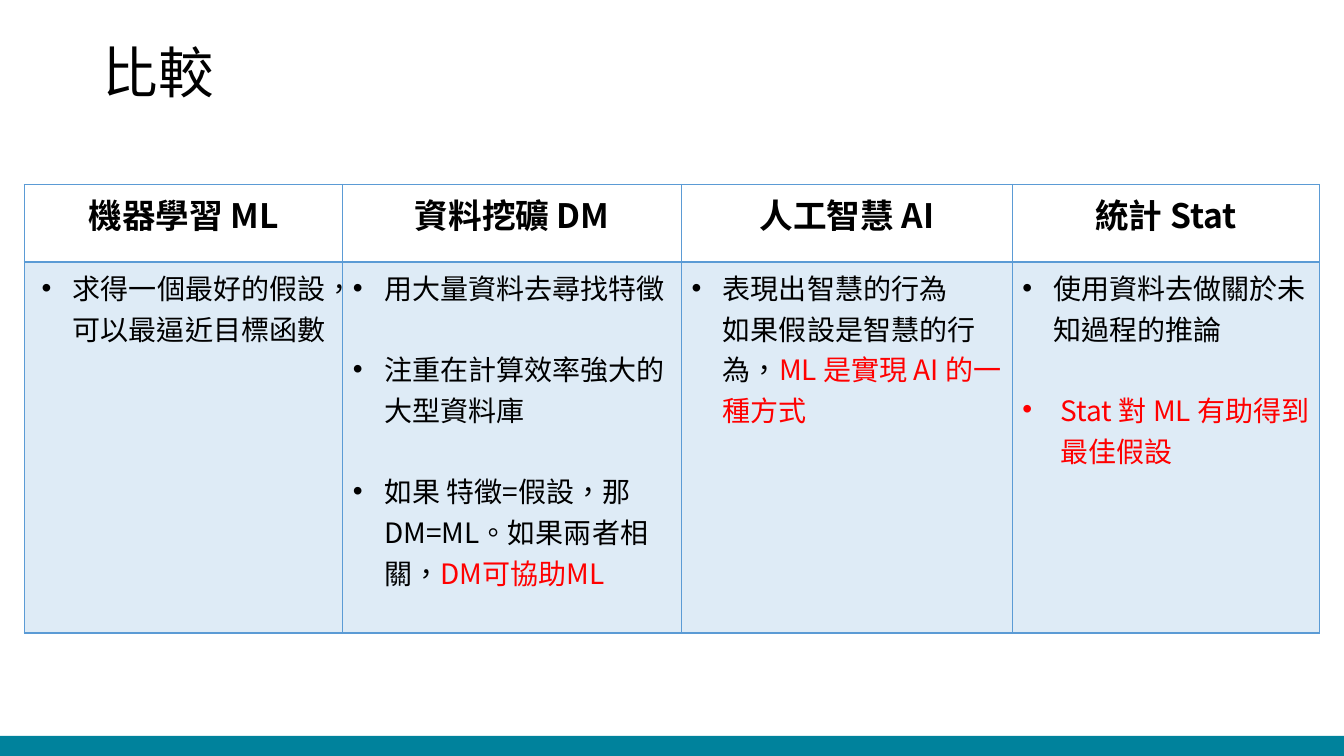
from lxml.etree import SubElement
from pptx import Presentation
from pptx.dml.color import RGBColor
from pptx.enum.shapes import MSO_SHAPE
from pptx.enum.text import MSO_ANCHOR, MSO_AUTO_SIZE, PP_ALIGN
from pptx.oxml.ns import qn
from pptx.util import Inches, Pt

COLORS = {"ink": "000000", "accent": "FF0000", "grid": "5B9BD5", "footer": "00829C"}
FONT = "Noto Sans CJK SC"
TITLE = {"size": Pt(39.6), "bold": False}
HEADING = {"size": Pt(24), "bold": True}
BODY = {"size": Pt(20), "bold": False}
PARAGRAPH_GAP = Pt(29)
COLUMN_WIDTHS = [3.16, 3.36, 3.28, 3.05]
ROW_HEIGHTS = [0.77, 3.68]

COMPARISON = {
    "機器學習 ML": [[("求得一個最好的假設，可以最逼近目標函數", "ink")]],
    "資料挖礦 DM": [
        [("用大量資料去尋找特徵", "ink")],
        [("注重在計算效率強大的大型資料庫", "ink")],
        [("如果 特徵=假設，那 DM=ML。如果兩者相關，", "ink"), ("DM可協助ML", "accent")],
    ],
    "人工智慧 AI": [
        [
            ("表現出智慧的行為", "ink"),
            ("\n", "ink"),
            ("如果假設是智慧的行為，", "ink"),
            ("ML 是實現 AI 的一種方式", "accent"),
        ],
    ],
    "統計 Stat": [
        [("使用資料去做關於未知過程的推論", "ink")],
        [("Stat 對 ML 有助得到最佳假設", "accent")],
    ],
}


def apply(target, values):
    for attribute, value in values.items():
        setattr(target, attribute, value)


class ComparisonSlide:
    def __init__(self, deck):
        self.slide = deck.slides.add_slide(deck.slide_layouts[5])

    def add_runs(self, paragraph, runs, style):
        for words, color in runs:
            if words == "\n":
                paragraph.add_line_break()
                continue
            run = paragraph.add_run()
            run.text = words
            apply(run.font, {"name": FONT, **style})
            run.font.color.rgb = RGBColor.from_string(COLORS[color])
            properties = run._r.get_or_add_rPr()
            properties.set("lang", "zh-TW")
            SubElement(properties, qn("a:ea"), typeface=FONT)

    def title(self, words, left, top, width, height):
        heading = self.slide.shapes.title
        apply(heading, {"left": Inches(left), "top": Inches(top),
                        "width": Inches(width), "height": Inches(height)})
        apply(heading.text_frame, {"vertical_anchor": MSO_ANCHOR.MIDDLE,
                                   "auto_size": MSO_AUTO_SIZE.NONE, "word_wrap": True})
        paragraph = heading.text_frame.paragraphs[0]
        apply(paragraph, {"alignment": PP_ALIGN.LEFT, "line_spacing": 0.9})
        self.add_runs(paragraph, [(words, "ink")], TITLE)

    def band(self, color, left, top, width, height):
        footer = self.slide.shapes.add_shape(
            MSO_SHAPE.RECTANGLE, Inches(left), Inches(top), Inches(width), Inches(height))
        footer.shadow.inherit = False
        footer.fill.solid()
        footer.fill.fore_color.rgb = RGBColor.from_string(COLORS[color])
        footer.line.fill.background()

    def borders(self, cell, widths):
        properties = cell._tc.get_or_add_tcPr()
        for side, width in widths.items():
            edge = SubElement(properties, qn(f"a:ln{side}"), w=str(Pt(width)))
            solid = SubElement(edge, qn("a:solidFill"))
            SubElement(solid, qn("a:srgbClr"), val=COLORS["grid"])

    def bullet(self, paragraph, indent):
        properties = paragraph._p.get_or_add_pPr()
        properties.set("marL", str(Inches(indent)))
        properties.set("indent", str(-Inches(indent)))
        SubElement(properties, qn("a:buFont"), typeface="Arial")
        SubElement(properties, qn("a:buChar"), char="•")

    def heading_cell(self, cell, heading):
        self.borders(cell, {"L": 1, "R": 1, "T": 1, "B": 2})
        cell.fill.background()
        paragraph = cell.text_frame.paragraphs[0]
        paragraph.alignment = PP_ALIGN.CENTER
        self.add_runs(paragraph, [(heading, "ink")], HEADING)

    def body_cell(self, cell, points):
        self.borders(cell, {"L": 1, "R": 1, "T": 2, "B": 1})
        cell.fill.solid()
        cell.fill.fore_color.rgb = RGBColor.from_string(COLORS["grid"])
        tint = cell._tc.tcPr.find(qn("a:solidFill")).find(qn("a:srgbClr"))
        SubElement(tint, qn("a:alpha"), val="20000")
        frame = cell.text_frame
        for number, runs in enumerate(points):
            paragraph = frame.add_paragraph() if number else frame.paragraphs[0]
            apply(paragraph, {
                "alignment": PP_ALIGN.CENTER if len(points) == len(runs) == 1 else PP_ALIGN.LEFT,
                "space_before": PARAGRAPH_GAP if number else Pt(0),
            })
            self.bullet(paragraph, 0.38 if runs[0][1] == "accent" else 0.31)
            self.add_runs(paragraph, runs, BODY)

    def table(self, comparison, left, top):
        grid = self.slide.shapes.add_table(
            len(ROW_HEIGHTS), len(COLUMN_WIDTHS), Inches(left), Inches(top),
            Inches(sum(COLUMN_WIDTHS)), Inches(sum(ROW_HEIGHTS))).table
        apply(grid, {"first_row": False, "horz_banding": False})
        for row, height in zip(grid.rows, ROW_HEIGHTS):
            row.height = Inches(height)
        for index, (heading, points) in enumerate(comparison.items()):
            grid.columns[index].width = Inches(COLUMN_WIDTHS[index])
            self.heading_cell(grid.cell(0, index), heading)
            self.body_cell(grid.cell(1, index), points)


def main():
    deck = Presentation()
    apply(deck, {"slide_width": Inches(13.33), "slide_height": Inches(7.5)})
    comparison = ComparisonSlide(deck)
    comparison.title("比較", 0.92, 0.4, 1.46, 0.69)
    comparison.band("footer", 0, 7.3, 13.33, 0.22)
    comparison.table(COMPARISON, 0.24, 1.83)
    deck.save("out.pptx")


if __name__ == "__main__":
    main()
